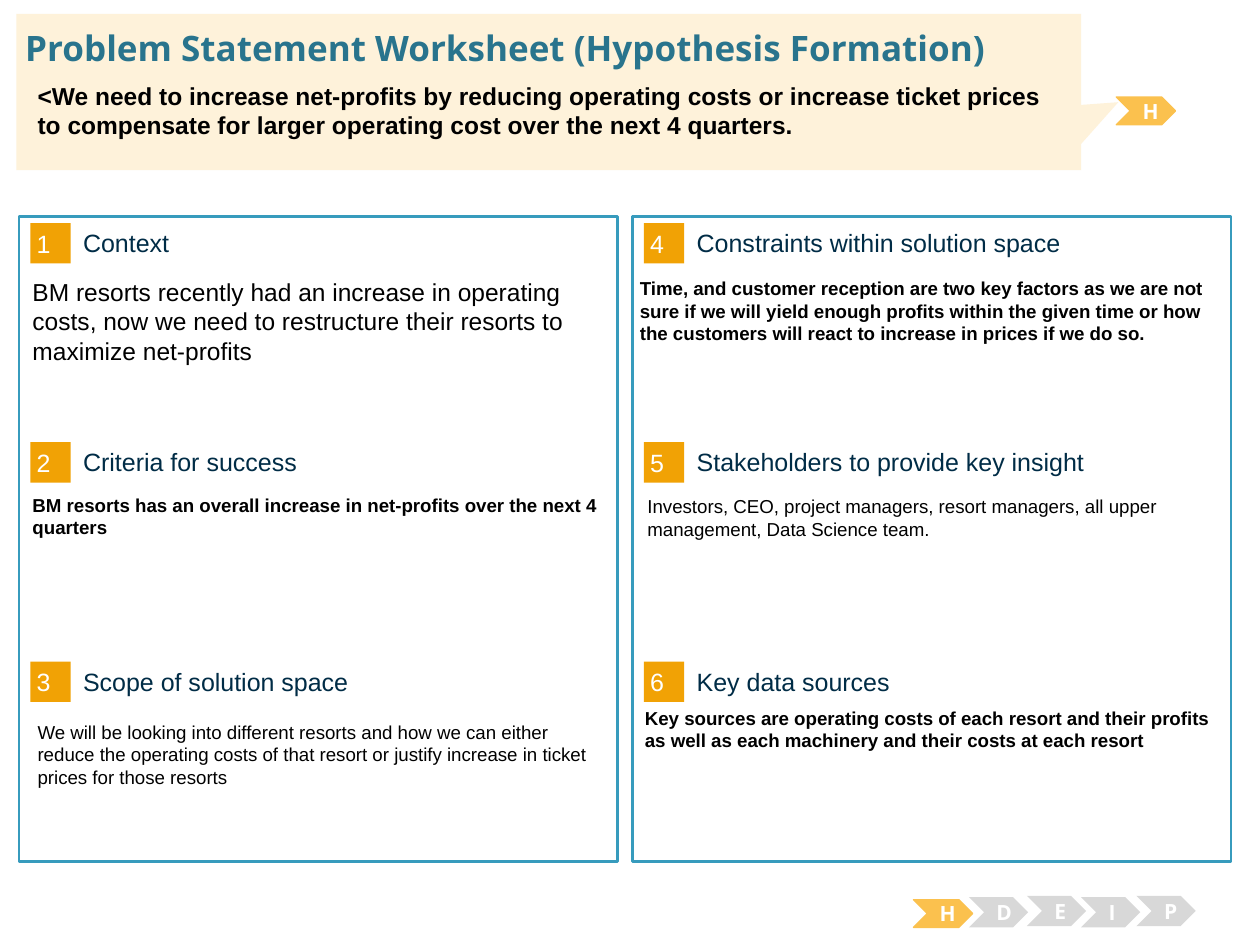
from dataclasses import dataclass
from pptx import Presentation
from pptx.dml.color import RGBColor
from pptx.enum.shapes import MSO_SHAPE as SHAPE
from pptx.enum.text import MSO_ANCHOR as ANCHOR, PP_ALIGN as ALIGN
from pptx.util import Inches, Pt

# Content
TITLE = "Problem Statement Worksheet (Hypothesis Formation)"
STATEMENT = [
    "<We need to increase net-profits by reducing operating costs or increase ticket prices",
    "to compensate for larger operating cost over the next 4 quarters.",
]
# One list per panel: heading, body, body place (left, top, height), size, bold
PANELS = [
    [
        ("Context",
         "BM resorts recently had an increase in operating costs, now we need to "
         "restructure their resorts to maximize net-profits",
         (0.16, 2.15, 1.36), 14, False),
        ("Criteria for success",
         "BM resorts has an overall increase in net-profits over the next 4 quarters",
         (0.16, 3.87, 1.54), 10.7, True),
        ("Scope of solution space",
         "We will be looking into different resorts and how we can either reduce the "
         "operating costs of that resort or justify increase in ticket prices for those resorts",
         (0.2, 5.67, 0.82), 10.7, False),
    ],
    [
        ("Constraints within solution space",
         "Time, and customer reception are two key factors as we are not sure if we will "
         "yield enough profits within the given time or how the customers will react to "
         "increase in prices if we do so.",
         (4.98, 2.15, 1.18), 10.7, True),
        ("Stakeholders to provide key insight",
         "Investors, CEO, project managers, resort managers, all upper management, "
         "Data Science team.",
         (5.04, 3.88, 1.18), 10.7, False),
        ("Key data sources",
         "Key sources are operating costs of each resort and their profits as well as "
         "each machinery and their costs at each resort",
         (5.02, 5.56, 1.18), 10.7, True),
    ],
]
# Stage chevrons: letter, left, top, height, active
STAGES = [
    ("H", 7.25, 7.14, 0.22, True),
    ("D", 7.69, 7.12, 0.24, False),
    ("E", 8.15, 7.11, 0.24, False),
    ("I", 8.58, 7.12, 0.24, False),
    ("P", 9.02, 7.11, 0.24, False),
    ("H", 8.86, 0.77, 0.22, True),
]


@dataclass(frozen=True)
class Theme:
    body_font: str = "Arial"
    title_font: str = "Open Sans"
    white: str = "FFFFFF"
    black: str = "000000"
    border: str = "379BBD"
    badge: str = "F1A205"
    heading: str = "002C46"
    title: str = "29748D"
    callout: str = "FEF2DA"
    active: str = "FBC14E"
    idle: str = "D8D8D8"
    title_size: float = 20
    statement_size: float = 14
    heading_size: float = 14.3
    stage_size: float = 12


T = Theme()
PADDED = (0.1, 0.05)
PANEL_LEFT, PANEL_STEP, PANEL_TOP = 0.15, 4.87, 1.72
ROW_TOP, ROW_STEP, BADGE = 1.77, 1.74, 0.32

prs = Presentation()
prs.slide_width, prs.slide_height = Inches(10), Inches(7.5)
s = prs.slides.add_slide(prs.slide_layouts[6])


# Helpers
def add_shape(kind, box, fill, line=None, width=0.75):
    sp = s.shapes.add_shape(kind, *map(Inches, box))
    sp.shadow.inherit = False
    sp.fill.solid()
    sp.fill.fore_color.rgb = RGBColor.from_string(fill)
    if line:
        sp.line.color.rgb = RGBColor.from_string(line)
        sp.line.width = Pt(width)
    else:
        sp.line.fill.background()
    return sp


def write(sp, lines, size, color, bold=False, font=T.body_font,
          inset=PADDED, anchor=ANCHOR.TOP, align=ALIGN.LEFT):
    tf = sp.text_frame
    tf.word_wrap = True
    tf.vertical_anchor = anchor
    tf.margin_left = tf.margin_right = Inches(inset[0])
    tf.margin_top = tf.margin_bottom = Inches(inset[1])
    for i, line in enumerate(lines):
        p = tf.add_paragraph() if i else tf.paragraphs[0]
        p.alignment = align
        r = p.add_run()
        r.text = line
        r.font.name, r.font.size, r.font.bold = font, Pt(size), bold
        r.font.color.rgb = RGBColor.from_string(color)


def add_text(box, lines, size, color, **style):
    write(s.shapes.add_textbox(*map(Inches, box)), lines, size, color, **style)


# Two panels of three numbered sections
for col, sections in enumerate(PANELS):
    left = PANEL_LEFT + col * PANEL_STEP
    add_shape(SHAPE.RECTANGLE, (left, PANEL_TOP, 4.75, 5.12), T.white, T.border, 1.5)
    for row, (heading, body, (x, y, h), size, bold) in enumerate(sections):
        top = ROW_TOP + row * ROW_STEP
        number = col * len(sections) + row + 1
        badge = add_shape(SHAPE.RECTANGLE, (left + 0.09, top, BADGE, BADGE), T.badge)
        write(badge, [str(number)], T.heading_size, T.white,
              inset=(0.05, 0.05), anchor=ANCHOR.MIDDLE)
        add_text((left + 0.51, top + 0.03, 3.93, 0.25), [heading], T.heading_size,
                 T.heading, inset=(0, 0), anchor=ANCHOR.MIDDLE)
        add_text((x, y, 4.73, h), [body], size, T.black, bold=bold)

# Stage chevrons
for letter, x, y, h, active in STAGES:
    fill = T.active if active else T.idle
    chevron = add_shape(SHAPE.CHEVRON, (x, y, 0.47, h), fill, fill if active else None)
    write(chevron, [letter], T.stage_size, T.white, bold=True, font=T.title_font,
          anchor=ANCHOR.MIDDLE, align=ALIGN.CENTER)

# Callout with title and problem statement
callout = add_shape(SHAPE.RECTANGULAR_CALLOUT, (0.13, 0.11, 8.45, 1.24), T.callout)
callout.adjustments[0], callout.adjustments[1] = 0.535, 0.066
add_text((0.2, 0.21, 9.62, 0.34), [TITLE], T.title_size, T.title,
         bold=True, font=T.title_font, inset=(0, 0))
add_text((0.2, 0.59, 9.39, 0.54), STATEMENT, T.statement_size, T.black, bold=True)

prs.save("out.pptx")
